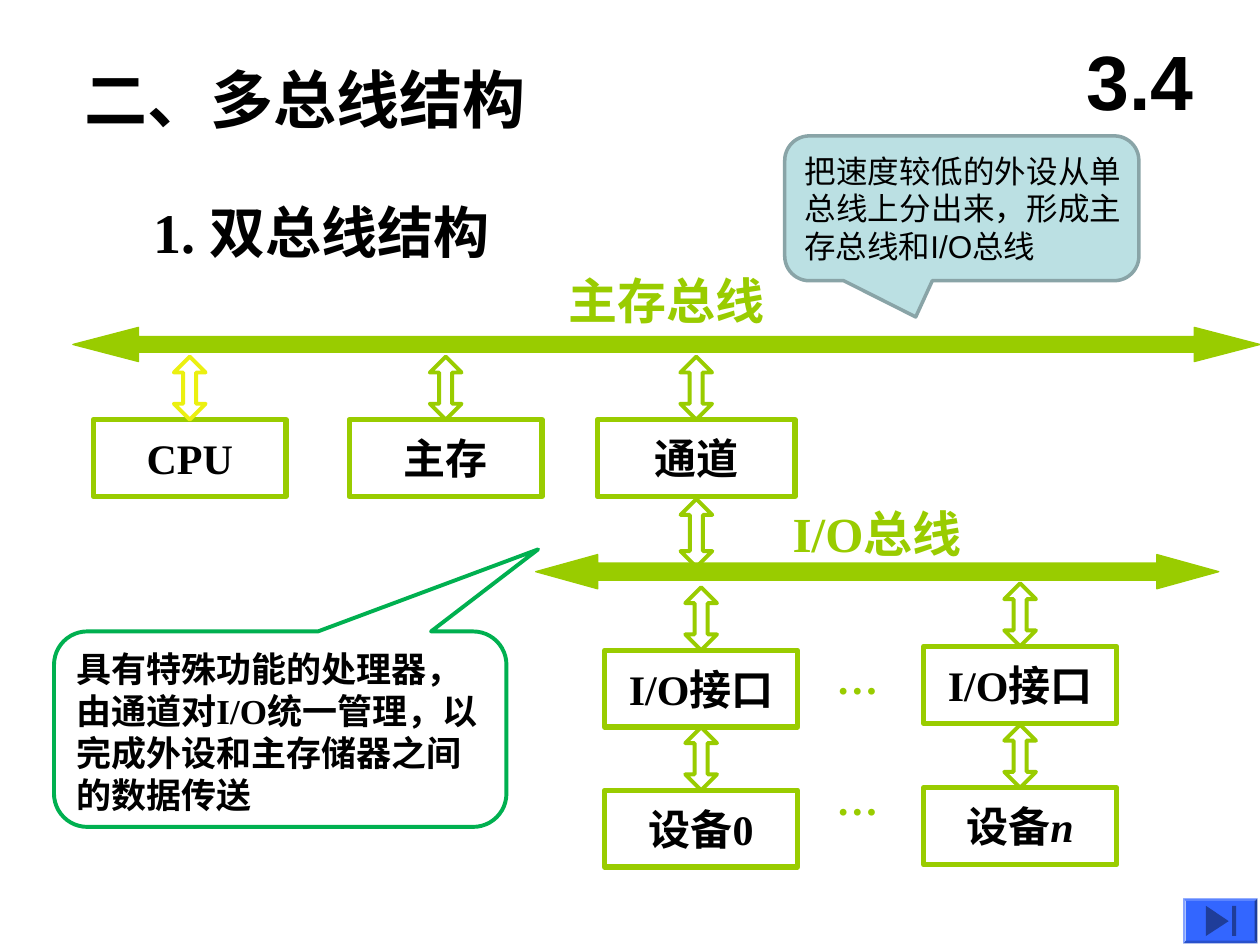
from lxml import etree
from pptx import Presentation
from pptx import util as u
from pptx.dml.color import RGBColor
from pptx.enum import shapes, text
from pptx.oxml import ns

BLACK = RGBColor(0x00, 0x00, 0x00)
LIME = RGBColor(0x99, 0xCC, 0x00)
YELLOW = RGBColor(0xEB, 0xF0, 0x10)
GREEN = RGBColor(0x00, 0xB0, 0x50)
PALE = RGBColor(0xBB, 0xE0, 0xE3)
SLATE = RGBColor(0x89, 0xA4, 0xA7)
BLUE = RGBColor(0x33, 0x66, 0xFF)
NAVY = RGBColor(0x1F, 0x3D, 0x99)
SERIF, SANS, CHINESE = "Times New Roman", "Arial", "Noto Sans CJK SC"
KIND = shapes.MSO_SHAPE
LEFT, CENTER = text.PP_ALIGN.LEFT, text.PP_ALIGN.CENTER
TOP, MIDDLE = text.MSO_ANCHOR.TOP, text.MSO_ANCHOR.MIDDLE

deck = Presentation()
deck.slide_width, deck.slide_height = u.Cm(25.4), u.Cm(19.05)
page = deck.slides.add_slide(deck.slide_layouts[5])


def add_figure(kind, left, top, width, height, fill=None, line=None, weight=0.75, adjust=()):
    """Add a preset shape without shadow; None means no fill or no line."""
    figure = page.shapes.add_shape(kind, u.Cm(left), u.Cm(top), u.Cm(width), u.Cm(height))
    figure.shadow.inherit = False
    for number, value in enumerate(adjust):
        figure.adjustments[number] = value
    for paint, color in ((figure.fill, fill), (figure.line.fill, line)):
        if color is None:
            paint.background()
        else:
            paint.solid()
            paint.fore_color.rgb = color
    if line is not None:
        figure.line.width = u.Pt(weight)
    return figure


def write(box, paragraphs, size, font=SERIF, color=BLACK, bold=True, align=LEFT, anchor=TOP):
    """Fill a box with paragraphs, each a list of runs; a run ending in * is italic."""
    frame = box.text_frame
    frame.word_wrap = True
    frame.auto_size = text.MSO_AUTO_SIZE.NONE
    frame.vertical_anchor = anchor
    for number, spans in enumerate(paragraphs):
        para = frame.add_paragraph() if number else frame.paragraphs[0]
        para.alignment = align
        para.line_spacing = u.Pt(size * 1.2)
        for words in spans:
            span = para.add_run()
            span.text = words.rstrip("*")
            span.font.name, span.font.size = font, u.Pt(size)
            span.font.bold, span.font.italic = bold, words.endswith("*")
            span.font.color.rgb = color
            east_asian = etree.SubElement(span.font._element, ns.qn("a:ea"))
            east_asian.set("typeface", CHINESE)


# Headings
title = page.shapes.title
title.left, title.top = u.Cm(1.45), u.Cm(1.09)
title.width, title.height = u.Cm(9.55), u.Cm(1.78)
write(title, [["二、多总线结构"]], 36)

headings = [
    ("1. 双总线结构", 2.84, 3.86, 7.65, 1.63, 32, SERIF, LEFT, TOP),
    ("3.4", 21.39, 0.43, 3.18, 2.34, 44, SANS, CENTER, MIDDLE),
]
for words, left, top, width, height, size, font, align, anchor in headings:
    box = page.shapes.add_textbox(u.Cm(left), u.Cm(top), u.Cm(width), u.Cm(height))
    write(box, [[words]], size, font, align=align, anchor=anchor)

# Components, each hanging from an arrow that ends on its top edge
ARROW_WIDTH, ARROW_HEIGHT, NODE_HEIGHT = 0.64, 1.27, 1.55
nodes = [
    (["CPU"], 1.88, 8.46, 3.89, YELLOW),
    (["主存"], 7.04, 8.46, 3.89, LIME),
    (["通道"], 12.04, 8.46, 3.99, LIME),
    (["I/O接口"], 12.19, 13.11, 3.89, LIME),
    (["设备0"], 12.19, 15.93, 3.89, LIME),
    (["I/O接口"], 18.62, 13.03, 3.89, LIME),
    (["设备", "n*"], 18.62, 15.88, 3.89, LIME),
]
arrows = [(14.04, 10.06, 1.37, LIME)]
for spans, left, top, width, color in nodes:
    arrows.append((left + width / 2, top - ARROW_HEIGHT, ARROW_HEIGHT, color))
    node = add_figure(KIND.RECTANGLE, left, top, width, NODE_HEIGHT, line=LIME, weight=3)
    write(node, [spans], 24, align=CENTER, anchor=MIDDLE)
for center, top, height, color in arrows:
    add_figure(KIND.UP_DOWN_ARROW, center - ARROW_WIDTH / 2, top, ARROW_WIDTH, height,
               line=color, weight=2.25, adjust=(0.5, 0.41))

# Buses
add_figure(KIND.LEFT_RIGHT_ARROW, 1.47, 6.6, 23.93, 0.69, LIME, LIME, adjust=(0.46, 1.92))
add_figure(KIND.LEFT_RIGHT_ARROW, 10.8, 11.18, 13.77, 0.69, LIME, LIME, adjust=(0.5, 1.81))

# Bus names and the dots between the two device columns
labels = [
    ("主存总线", 11.46, 5.46, 6.76, 28, LEFT),
    ("I/O总线", 15.98, 10.16, 5.61, 28, LEFT),
    ("…", 16.61, 13.16, 1.35, 24, CENTER),
    ("…", 16.61, 15.6, 1.35, 24, CENTER),
]
for words, left, top, width, size, align in labels:
    label = page.shapes.add_textbox(u.Cm(left), u.Cm(top), u.Cm(width), u.Cm(1.19))
    frame = label.text_frame
    frame.margin_left = frame.margin_right = frame.margin_top = frame.margin_bottom = 0
    write(label, [[words]], size, color=LIME, align=align)

# Callouts
channel_note = add_figure(KIND.ROUNDED_RECTANGULAR_CALLOUT, 1.09, 12.73, 9.12, 3.94,
                          line=GREEN, weight=2.25, adjust=(0.57, -0.92, 0.17))
write(channel_note, [["具有特殊功能的处理器，"],
                     ["由通道对I/O统一管理，以完成外设和主存储器之间的数据传送"]], 20)
bus_note = add_figure(KIND.ROUNDED_RECTANGULAR_CALLOUT, 15.82, 2.74, 7.14, 2.92,
                      PALE, SLATE, 2, (-0.13, 0.75, 0.17))
bus_note.text_frame.margin_right = u.Cm(0.2)
write(bus_note, [["把速度较低的外设从单总线上分出来，形成主存总线和I/O总线"]], 18, SANS,
      bold=False, align=text.PP_ALIGN.JUSTIFY, anchor=MIDDLE)

# Button that jumps to the end
add_figure(KIND.BEVEL, 23.85, 18.11, 1.5, 0.91, BLUE, adjust=(0.06,))
pen = page.shapes.build_freeform(u.Cm(24.31), u.Cm(18.26))
pen.add_line_segments([(u.Cm(24.77), u.Cm(18.57)), (u.Cm(24.31), u.Cm(18.87))])
triangle = pen.convert_to_shape()
triangle.shadow.inherit = False
triangle.fill.solid()
triangle.fill.fore_color.rgb = NAVY
triangle.line.fill.background()
add_figure(KIND.RECTANGLE, 24.84, 18.26, 0.08, 0.61, NAVY)

deck.save("out.pptx")
